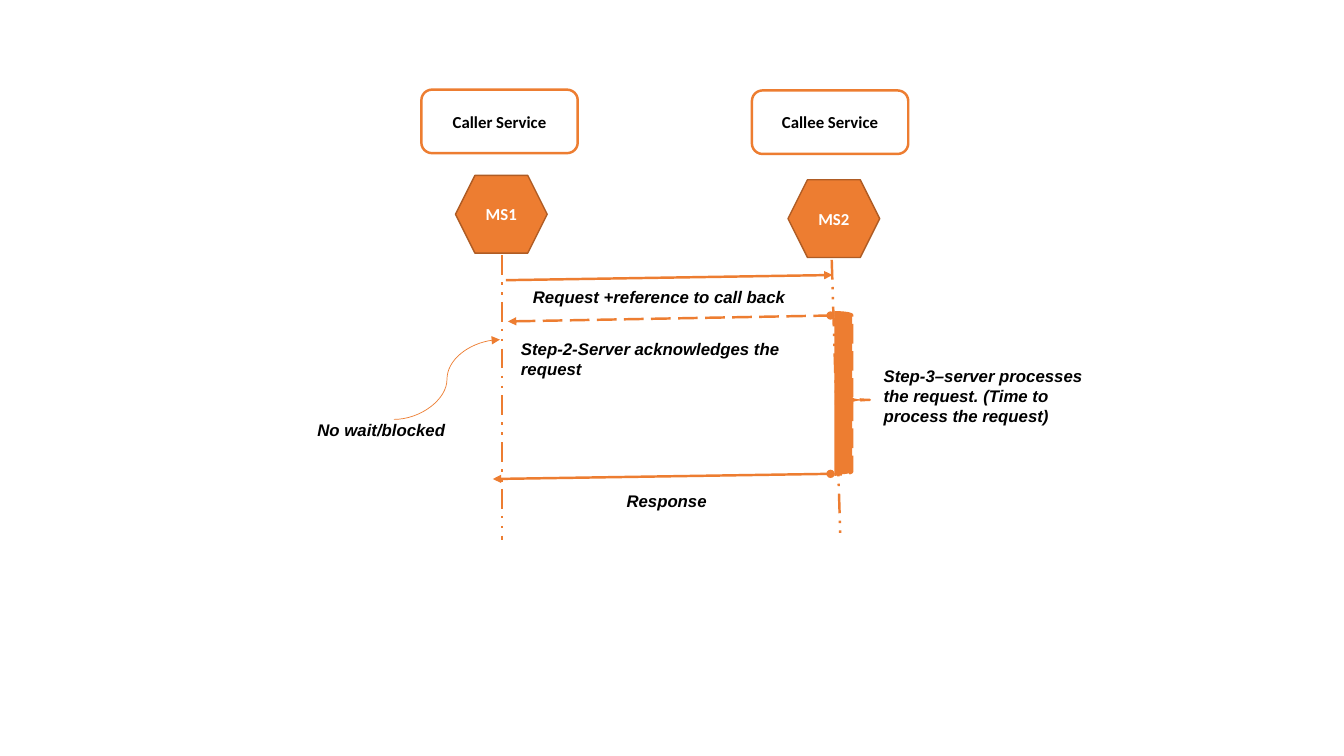
from lxml.etree import SubElement
from pptx import Presentation
from pptx.dml.color import RGBColor
from pptx.enum.dml import MSO_LINE as Dash
from pptx.enum.shapes import MSO_CONNECTOR as Link, MSO_SHAPE as Shape
from pptx.enum.text import MSO_ANCHOR as Anchor, PP_ALIGN as Align
from pptx.oxml.ns import qn
from pptx.util import Cm, Pt

COLORS = {"orange": "ED7D31", "rust": "AF5C24", "white": "FFFFFF", "black": "000000"}

LIFELINES = [(12.65, 6.43, 12.65, 13.61), (20.96, 6.55, 21.18, 13.61)]
MESSAGES = [
    ((12.75, 7.06, 20.98, 6.93), None, None, "triangle"),
    ((12.8, 8.1, 20.93, 7.95), Dash.LONG_DASH, "triangle", "oval"),
    ((12.42, 12.07, 20.93, 11.94), None, "triangle", "oval"),
]
NO_WAIT_CURVE = (9.93, 10.57, 12.6, 8.56)
PROCESSING_BRACE = (21.03, 7.87, 0.89, 4.09)
LABELS = [
    ("Request +reference to call back", (13.18, 7.11, 7.39, 0.76), Align.LEFT),
    ("Response", (15.54, 12.24, 3.48, 1.45), Align.JUSTIFY),
    ("Step-3–server processes the request. (Time to process the request)",
     (22.02, 9.09, 6.25, 1.8), Align.LEFT),
    ("No wait/blocked", (7.75, 10.44, 4.06, 0.97), Align.JUSTIFY),
    ("Step-2-Server acknowledges the request", (12.88, 8.41, 7.85, 1.78), Align.LEFT),
]
SERVICES = [
    ("Caller Service", (10.62, 2.26), "MS1", (11.48, 4.42)),
    ("Callee Service", (18.95, 2.28), "MS2", (19.86, 4.53)),
]
SERVICE_SIZE = (3.94, 1.6)
HEXAGON_SIZE = (2.31, 1.96)


def color(name):
    return RGBColor.from_string(COLORS[name])


def add_line(slide, ends, width=1.75, dash=None, head=None, tail=None, kind=Link.STRAIGHT):
    connector = slide.shapes.add_connector(kind, *map(Cm, ends))
    connector.line.color.rgb = color("orange")
    connector.line.width = Pt(width)
    if dash:
        connector.line.dash_style = dash
    for tag, arrow in (("a:headEnd", head), ("a:tailEnd", tail)):
        if arrow:
            SubElement(connector.line._get_or_add_ln(), qn(tag), type=arrow)
    SubElement(connector._element.spPr, qn("a:effectLst"))


def add_box(slide, kind, box, fill, outline=None, width=1.75):
    shape = slide.shapes.add_shape(kind, *map(Cm, box))
    shape.shadow.inherit = False
    shape.fill.solid()
    shape.fill.fore_color.rgb = color(fill)
    if outline:
        shape.line.color.rgb = color(outline)
        shape.line.width = Pt(width)
    else:
        shape.line.fill.background()
    return shape


def write(shape, text, font, ink, align=Align.CENTER, anchor=Anchor.MIDDLE, italic=False):
    frame = shape.text_frame
    frame.word_wrap = True
    frame.vertical_anchor = anchor
    paragraph = frame.paragraphs[0]
    paragraph.alignment = align
    run = paragraph.add_run()
    run.text = text
    run.font.name = font
    run.font.size = Pt(12)
    run.font.bold = True
    run.font.italic = italic
    run.font.color.rgb = color(ink)


def main():
    presentation = Presentation()
    presentation.slide_width, presentation.slide_height = Cm(33.87), Cm(19.05)
    slide = presentation.slides.add_slide(presentation.slide_layouts[6])

    for ends in LIFELINES:
        add_line(slide, ends, dash=Dash.DASH_DOT_DOT)
    for ends, dash, head, tail in MESSAGES:
        add_line(slide, ends, dash=dash, head=head, tail=tail)

    brace = add_box(slide, Shape.RIGHT_BRACE, PROCESSING_BRACE, "orange", "orange")
    brace.line.dash_style = Dash.LONG_DASH
    brace.adjustments[0] = 0.08
    brace.adjustments[1] = 0.54

    for text, box, align in LABELS:
        label = add_box(slide, Shape.RECTANGLE, box, "white")
        write(label, text, "Arial", "black", align, Anchor.TOP, italic=True)
    add_line(slide, NO_WAIT_CURVE, width=0.5, tail="triangle", kind=Link.CURVE)

    for name, name_at, code, code_at in SERVICES:
        hexagon = add_box(slide, Shape.HEXAGON, code_at + HEXAGON_SIZE, "orange", "rust", 1)
        write(hexagon, code, "Calibri", "white")
        service = add_box(slide, Shape.ROUNDED_RECTANGLE, name_at + SERVICE_SIZE, "white", "orange")
        write(service, name, "Calibri", "black")

    presentation.save("out.pptx")


if __name__ == "__main__":
    main()
